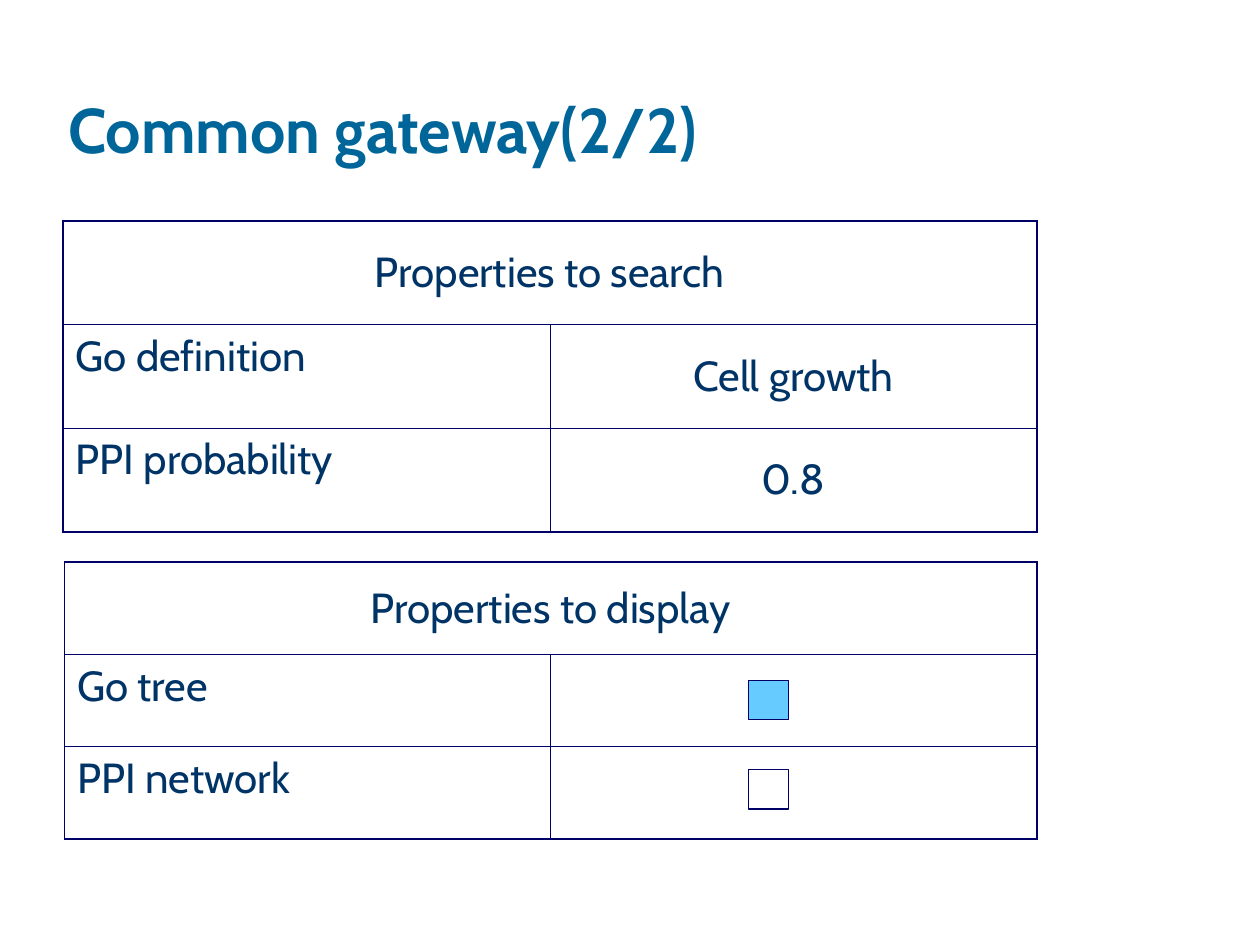
from lxml import etree
from pptx import Presentation
from pptx.dml.color import RGBColor
from pptx.enum.shapes import MSO_SHAPE
from pptx.enum.text import MSO_ANCHOR, PP_ALIGN
from pptx.oxml.ns import qn
from pptx.util import Cm, Pt

RECTANGLE = MSO_SHAPE.RECTANGLE
TOP, MIDDLE, BOTTOM = MSO_ANCHOR.TOP, MSO_ANCHOR.MIDDLE, MSO_ANCHOR.BOTTOM
LEFT, CENTER = PP_ALIGN.LEFT, PP_ALIGN.CENTER

TEAL = RGBColor(0x00, 0x66, 0x99)
NAVY = RGBColor(0x00, 0x33, 0x66)
BORDER = RGBColor(0x00, 0x00, 0x66)
SKY = RGBColor(0x66, 0xCC, 0xFF)

TITLE_FORMAT = {"name": "Cabin", "size": Pt(36), "bold": True}
CELL_FORMAT = {"name": "Cabin", "size": Pt(24), "bold": False}
OUTER, INNER = Pt(1.08), Pt(0.45)


class SlideBuilder:
    def __init__(self, slide):
        self.slide = slide

    def set_text(self, frame, text, font_format, color, align):
        para = frame.paragraphs[0]
        para.text = text
        para.alignment = align
        for name, value in font_format.items():
            setattr(para.font, name, value)
        para.font.color.rgb = color

    def title(self, text, left, top, width, height):
        box = self.slide.shapes.title
        box.left, box.top = Cm(left), Cm(top)
        box.width, box.height = Cm(width), Cm(height)
        box.text_frame.vertical_anchor = BOTTOM
        self.set_text(box.text_frame, text, TITLE_FORMAT, TEAL, LEFT)

    def cell_borders(self, cell, widths):
        properties = cell._tc.get_or_add_tcPr()
        for index, (side, width) in enumerate(widths.items()):
            line = etree.Element(qn(f"a:ln{side}"), w=str(int(width)))
            fill = etree.SubElement(line, qn("a:solidFill"))
            etree.SubElement(fill, qn("a:srgbClr"), val=str(BORDER))
            properties.insert(index, line)

    def property_table(self, heading, rows, left, top, width, row_height):
        content = [(heading, "")] + rows
        last = len(content) - 1
        table = self.slide.shapes.add_table(
            len(content), 2, Cm(left), Cm(top), Cm(width),
            Cm(row_height * len(content))).table
        table.first_row = table.horz_banding = False
        table.cell(0, 0).merge(table.cell(0, 1))
        for r, texts in enumerate(content):
            for c, text in enumerate(texts):
                cell = table.cell(r, c)
                cell.fill.background()
                self.cell_borders(cell, {
                    "L": OUTER if c == 0 else INNER,
                    "R": OUTER if c == 1 or r == 0 else INNER,
                    "T": OUTER if r == 0 else INNER,
                    "B": OUTER if r == last else INNER})
                is_label = r > 0 and c == 0
                cell.vertical_anchor = TOP if is_label else MIDDLE
                if text:
                    self.set_text(cell.text_frame, text, CELL_FORMAT, NAVY,
                                  LEFT if is_label else CENTER)

    def checkbox(self, left, top, checked):
        box = self.slide.shapes.add_shape(
            RECTANGLE, Cm(left), Cm(top), Cm(0.81), Cm(0.79))
        box.shadow.inherit = False
        box.line.color.rgb = BORDER
        box.line.width = Pt(0.75)
        if checked:
            box.fill.solid()
            box.fill.fore_color.rgb = SKY
        else:
            box.fill.background()


def main():
    deck = Presentation()
    deck.slide_width, deck.slide_height = Cm(25.4), Cm(19.05)
    builder = SlideBuilder(deck.slides.add_slide(deck.slide_layouts[5]))

    # Title
    builder.title("Common gateway(2/2)", 1.12, 0.3, 21.59, 3.18)

    # Search and display properties
    builder.property_table(
        "Properties to search",
        [("Go definition", "Cell growth"), ("PPI probability", "0.8")],
        1.27, 4.45, 19.63, 2.09)
    builder.property_table(
        "Properties to display", [("Go tree", ""), ("PPI network", "")],
        1.3, 11.33, 19.6, 1.86)

    # Display switches
    builder.checkbox(15.09, 13.72, True)
    builder.checkbox(15.09, 15.52, False)

    deck.save("out.pptx")


if __name__ == "__main__":
    main()
